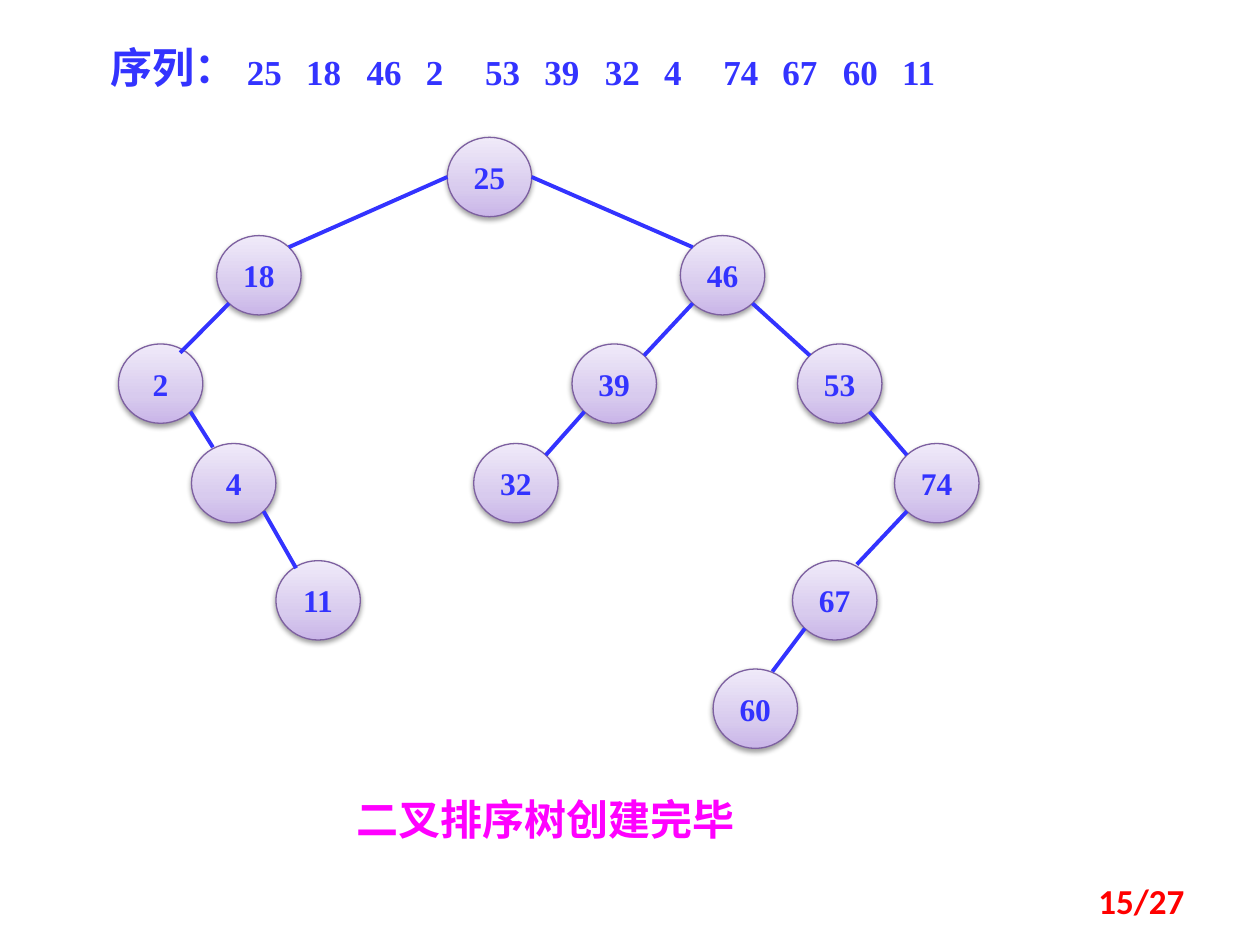
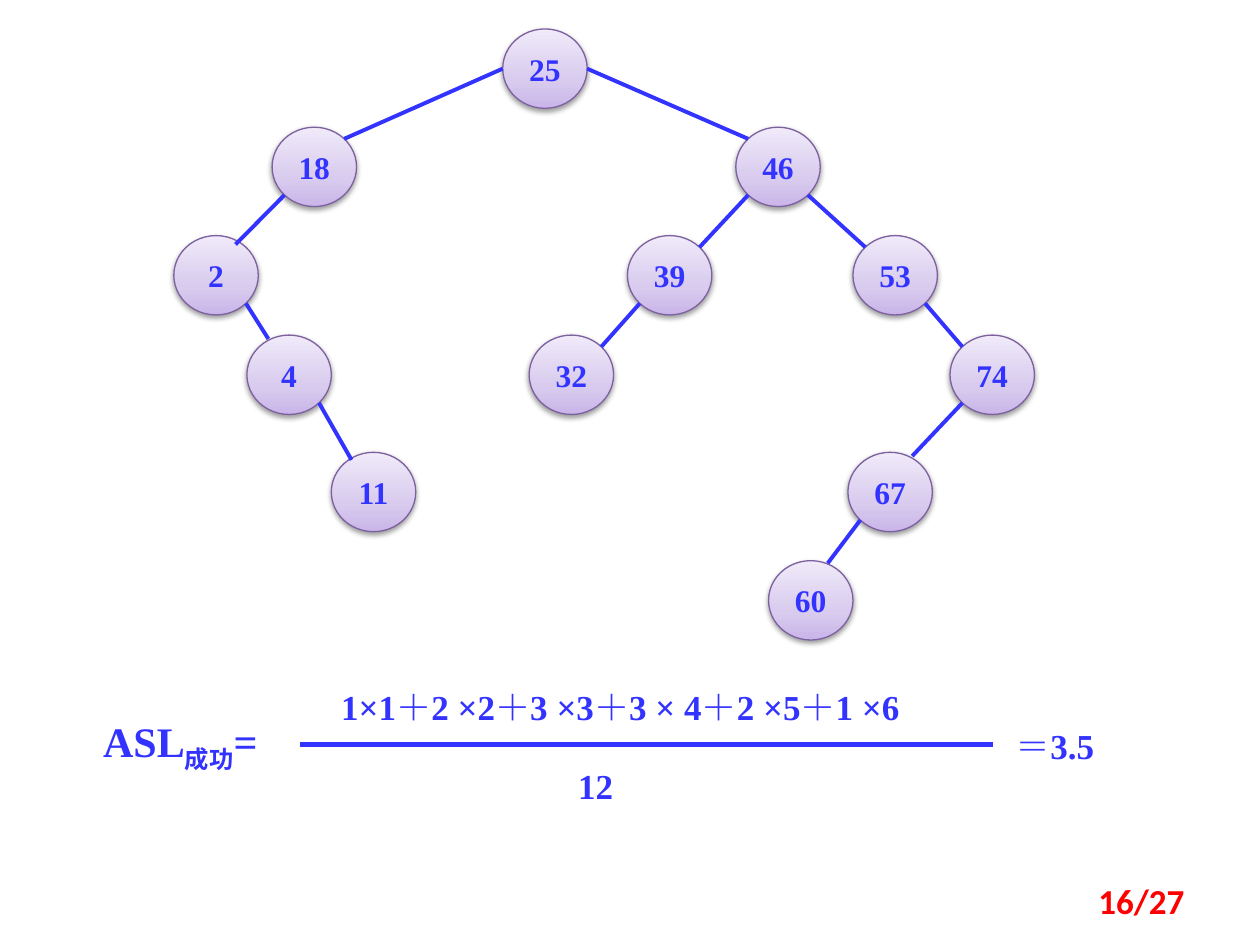
from typing import NamedTuple, Optional

from lxml import etree
from pptx import Presentation
from pptx.dml.color import RGBColor
from pptx.enum.shapes import MSO_CONNECTOR, MSO_SHAPE
from pptx.enum.text import MSO_ANCHOR, PP_ALIGN
from pptx.oxml.ns import qn
from pptx.util import Pt

# Scale: 100 px to the inch
EMU_PER_PX = 9144

# Shared look
BLUE = RGBColor(0x33, 0x33, 0xFF)
MAGENTA = RGBColor(0xFF, 0x00, 0xFF)
RED = RGBColor(0xFF, 0x00, 0x00)
PURPLE = RGBColor(0x7D, 0x60, 0xA0)
BLACK = RGBColor(0x00, 0x00, 0x00)
NODE_STOPS = (
    (0, RGBColor(0xC9, 0xB5, 0xE8)),
    (35, RGBColor(0xD8, 0xCB, 0xEE)),
    (100, RGBColor(0xF0, 0xEA, 0xF9)),
)
SERIF = "Times New Roman"
SANS = "Calibri"
CJK = "Noto Sans CJK SC"

ELLIPSE = MSO_SHAPE.OVAL
STRAIGHT = MSO_CONNECTOR.STRAIGHT
TOP, MIDDLE = MSO_ANCHOR.TOP, MSO_ANCHOR.MIDDLE
LEFT, CENTER, RIGHT = PP_ALIGN.LEFT, PP_ALIGN.CENTER, PP_ALIGN.RIGHT

NODE_W, NODE_H = 67, 63
CORNER = 0.146  # where a diagonal meets the ellipse, as a share of its box
PAGE_COUNT = 27


class Run(NamedTuple):
    text: str
    size: int = 20
    font: str = SERIF
    color: RGBColor = BLUE
    baseline: int = 0


class Box(NamedTuple):
    x: int
    y: int
    w: int
    h: int
    runs: tuple[Run, ...]
    align: PP_ALIGN = LEFT
    anchor: MSO_ANCHOR = TOP
    inset: bool = True


class Node(NamedTuple):
    key: int
    x: int
    y: int
    parent: Optional[int] = None
    landing: Optional[tuple[int, int]] = None  # edge end inside the node box


# Nodes in the order of insertion
TREE = (
    Node(25, 355, 109),
    Node(18, 172, 187, 25),
    Node(46, 540, 187, 25),
    Node(2, 94, 273, 18, (49, 7)),
    Node(53, 633, 273, 46),
    Node(39, 454, 273, 46),
    Node(32, 376, 352, 39),
    Node(4, 152, 352, 2, (17, 3)),
    Node(74, 710, 352, 53),
    Node(67, 629, 445, 74, (51, 3)),
    Node(60, 566, 531, 67, (47, 2)),
    Node(11, 219, 445, 4, (16, 6)),
)


def px(n: float) -> int:
    return round(n * EMU_PER_PX)


def add_run(p, run: Run) -> None:
    r = p.add_run()
    r.text = run.text
    r.font.size = Pt(run.size)
    r.font.bold = True
    r.font.name = run.font
    r.font.color.rgb = run.color
    rPr = r.font._element
    etree.SubElement(rPr, qn("a:ea"), typeface=run.font)
    if run.baseline:
        rPr.set("baseline", str(run.baseline * 1000))


def fill_text(sp, runs: tuple[Run, ...], align: PP_ALIGN, anchor: MSO_ANCHOR,
              inset: bool) -> None:
    tf = sp.text_frame
    tf.word_wrap = True
    tf.vertical_anchor = anchor
    if not inset:
        tf.margin_left = tf.margin_right = tf.margin_top = tf.margin_bottom = 0
    p = tf.paragraphs[0]
    p.alignment = align
    for run in runs:
        add_run(p, run)


def add_box(s, box: Box) -> None:
    sp = s.shapes.add_textbox(px(box.x), px(box.y), px(box.w), px(box.h))
    fill_text(sp, box.runs, box.align, box.anchor, box.inset)


def add_line(s, start: tuple[float, float], end: tuple[float, float],
             width: float = 2.25) -> None:
    line = s.shapes.add_connector(STRAIGHT, *map(px, start + end))
    line.line.color.rgb = BLUE
    line.line.width = Pt(width)
    etree.SubElement(line._element.spPr, qn("a:effectLst"))


def add_node(s, node: Node, dx: int, dy: int) -> None:
    sp = s.shapes.add_shape(ELLIPSE, px(node.x + dx), px(node.y + dy),
                            px(NODE_W), px(NODE_H))
    sp.line.color.rgb = PURPLE
    sp.line.width = Pt(0.75)

    # Gradient, dark at the bottom
    sp.fill.gradient()
    sp.fill.gradient_angle = 90
    spPr = sp._element.spPr
    stops = spPr.find(qn("a:gradFill")).find(qn("a:gsLst"))
    stops.clear()
    for pos, color in NODE_STOPS:
        gs = etree.SubElement(stops, qn("a:gs"), pos=str(pos * 1000))
        etree.SubElement(gs, qn("a:srgbClr"), val=str(color))

    # Soft shadow straight below
    sp.shadow.inherit = False
    shadow = etree.SubElement(spPr.find(qn("a:effectLst")), qn("a:outerShdw"),
                              blurRad="40000", dist="20000", dir="5400000",
                              rotWithShape="0")
    clr = etree.SubElement(shadow, qn("a:srgbClr"), val=str(BLACK))
    etree.SubElement(clr, qn("a:alpha"), val="38000")

    fill_text(sp, (Run(str(node.key), 18),), CENTER, MIDDLE, False)


def add_edge(s, parent: Node, child: Node, dx: int, dy: int) -> None:
    goes_left = child.key < parent.key
    if parent.parent is None:  # the root's edges leave from its sides
        fx, fy = (0 if goes_left else 1), 0.5
    else:
        fx, fy = (CORNER if goes_left else 1 - CORNER), 1 - CORNER
    to_x = (1 - CORNER if goes_left else CORNER) * NODE_W
    end_x, end_y = child.landing or (to_x, CORNER * NODE_H)
    add_line(s, (parent.x + dx + fx * NODE_W, parent.y + dy + fy * NODE_H),
             (child.x + dx + end_x, child.y + dy + end_y))


def add_tree(s, dx: int = 0, dy: int = 0) -> None:
    by_key = {node.key: node for node in TREE}
    for node in TREE:
        add_node(s, node, dx, dy)
    for node in TREE:
        if node.parent is not None:
            add_edge(s, by_key[node.parent], node, dx, dy)


def add_page_number(s, number: int) -> None:
    run = Run(f"{number}/{PAGE_COUNT}", 20, SANS, RED)
    add_box(s, Box(717, 695, 233, 40, (run,), RIGHT, MIDDLE))


def finished_tree_slide(s) -> None:
    add_box(s, Box(78, 28, 94, 50, (Run("序列：", 24, CJK),)))
    for i, node in enumerate(TREE):
        add_box(s, Box(196 + round(i * 520 / 11), 40, 32, 33,
                       (Run(str(node.key)),), inset=False))
    add_box(s, Box(273, 625, 344, 50,
                   (Run("二叉排序树创建完毕", 24, CJK, MAGENTA),)))
    add_tree(s)
    add_page_number(s, 15)


def search_length_slide(s) -> None:
    add_tree(s, 44, -86)
    formula = (
        Box(72, 563, 165, 50, (Run("ASL", 24), Run("成功", 24, CJK, baseline=-25),
                               Run("=", 24))),
        Box(261, 539, 567, 43, (Run("1×1＋2 ×2＋3 ×3＋3 × 4＋2 ×5＋1 ×6"),)),
        Box(449, 602, 71, 43, (Run("12"),)),
        Box(796, 570, 102, 43, (Run("＝3.5"),)),
    )
    for box in formula:
        add_box(s, box)
    add_line(s, (238, 591), (788, 591), 3)  # fraction bar
    add_page_number(s, 16)


def main() -> None:
    prs = Presentation()
    prs.slide_width, prs.slide_height = px(1000), px(750)
    blank = prs.slide_layouts[6]
    for build in (finished_tree_slide, search_length_slide):
        build(prs.slides.add_slide(blank))
    prs.save("out.pptx")


if __name__ == "__main__":
    main()
